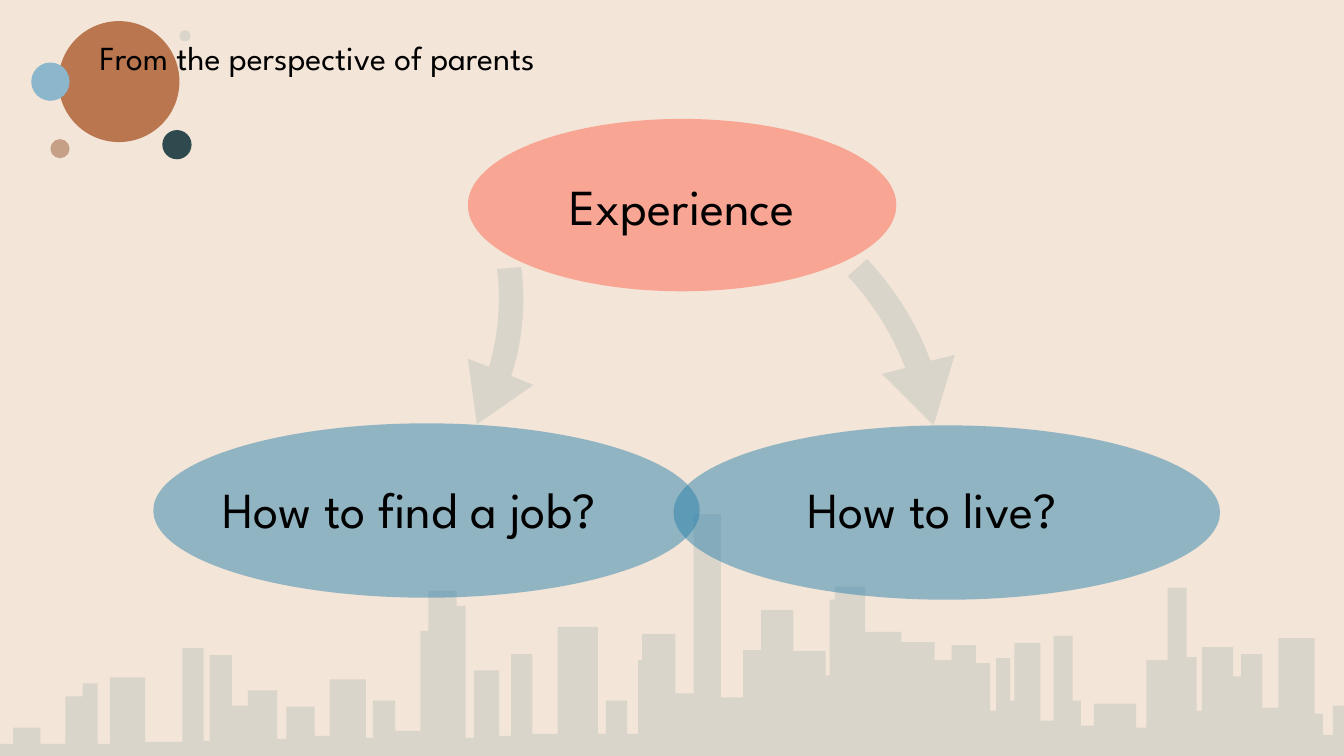
from dataclasses import dataclass

from pptx import Presentation
from pptx import util as u
from pptx.dml.color import RGBColor
from pptx.enum import shapes, text
from pptx.oxml import parse_xml
from pptx.oxml.ns import nsdecls

Point = tuple[float, float]
Curve = tuple[Point, Point, Point]

# The slide is a grid of COLS by ROWS square cells.
COLS, ROWS = 1333, 750
CELL = u.Inches(0.01)
FONT = "League Spartan"
COLORS = {
    "sand": "F3E5D8", "stone": "D9D5CA", "clay": "BA764F", "sky": "8BB6CB",
    "tan": "C5A086", "pine": "2E4A4E", "sea": "267FAB", "coral": "FE604A",
    "ink": "000000",
}


@dataclass(frozen=True)
class Oval:
    col: float
    row: float
    width: float
    height: float
    color: str
    opacity: int = 100


@dataclass(frozen=True)
class Label:
    words: str
    col: float
    row: float
    width: float
    height: float
    size: int
    wrap: bool = True


@dataclass(frozen=True)
class Arrow:
    head: tuple[Point, Point, Point]
    front: Curve
    back: Curve


DOTS = (
    Oval(58, 21, 120, 120, "clay"),
    Oval(31, 62, 38, 38, "sky"),
    Oval(50, 138, 19, 19, "tan"),
    Oval(161, 129, 29, 29, "pine"),
    Oval(178, 30, 11, 11, "stone"),
)
TITLE = Label("From the perspective of parents", 89, 32, 542, 50, 24, wrap=False)
QUESTIONS = (
    (Oval(152, 420, 542, 173, "sea", 48),
     Label("How to find a job?", 211, 469, 506, 71, 36)),
    (Oval(668, 422, 542, 173, "sea", 48),
     Label("How to live?", 791, 469, 506, 71, 36)),
)
EXPERIENCE = Oval(464, 118, 425, 171, "coral", 48)
# Each bend is a start, a point the edge passes halfway, and an end.
ARROWS = (
    Arrow(((875, 371), (926, 422), (947, 352)),
          ((923, 358), (897, 305), (860, 257)),
          ((841, 274), (874, 317), (898, 365))),
    Arrow(((464, 356), (473, 421), (529, 382)),
          ((507, 373), (518, 320), (517, 265)),
          ((493, 267), (494, 316), (485, 364))),
)
# Each roof: the column where it starts and the row of its top.
ROOFS = (
    (0, 738), (13, 722), (40, 738), (65, 691), (82, 678), (97, 738), (109, 672),
    (144, 736), (181, 643), (202, 735), (208, 650), (230, 700), (246, 685),
    (275, 733), (284, 701), (312, 730), (327, 674), (363, 732), (370, 695),
    (392, 725), (417, 626), (425, 586), (453, 601), (462, 732), (470, 665),
    (495, 730), (507, 649), (528, 728), (553, 622), (593, 728), (601, 695),
    (622, 728), (633, 655), (637, 629), (670, 688), (688, 510), (715, 692),
    (737, 645), (755, 605), (787, 646), (819, 670), (823, 595), (828, 582),
    (858, 627), (894, 637), (927, 655), (944, 640), (968, 658), (982, 705),
    (988, 653), (1002, 695), (1006, 638), (1032, 715), (1045, 631), (1064, 695),
    (1072, 720), (1085, 698), (1127, 722), (1137, 655), (1158, 583), (1177, 652),
    (1187, 705), (1192, 642), (1223, 671), (1231, 649), (1252, 702), (1268, 633),
    (1304, 708), (1312, 729), (1322, 700),
)


def cells(*counts: float) -> list[u.Emu]:
    return [u.Emu(round(count * CELL)) for count in counts]


def paint(shape, color: str, opacity: int = 100) -> None:
    shape.shadow.inherit = False
    shape.line.fill.background()
    shape.fill.solid()
    shape.fill.fore_color.rgb = RGBColor.from_string(COLORS[color])
    if opacity < 100:
        tint = shape.fill._xPr.find(".//{*}srgbClr")
        tint.append(parse_xml(f'<a:alpha {nsdecls("a")} val="{opacity * 1000}"/>'))


def write(frame, words: str, *, size: int, wrap: bool = True, align=None,
          color: str = "ink") -> None:
    frame.word_wrap = wrap
    paragraph = frame.paragraphs[0]
    if align is not None:
        paragraph.alignment = align
    run = paragraph.add_run()
    run.text = words
    run.font.name = FONT
    run.font.size = u.Pt(size)
    run.font.color.rgb = RGBColor.from_string(COLORS[color])


def draw_oval(canvas, oval: Oval):
    shape = canvas.add_shape(shapes.MSO_SHAPE.OVAL,
                             *cells(oval.col, oval.row, oval.width, oval.height))
    paint(shape, oval.color, oval.opacity)
    return shape


def draw_label(canvas, label: Label) -> None:
    box = canvas.add_textbox(*cells(label.col, label.row, label.width, label.height))
    write(box.text_frame, label.words, size=label.size, wrap=label.wrap)
    box.text_frame.auto_size = text.MSO_AUTO_SIZE.SHAPE_TO_FIT_TEXT


def draw_outline(canvas, points: list[Point], color: str) -> None:
    start, *rest = [cells(*point) for point in points]
    builder = canvas.build_freeform(*start)
    builder.add_line_segments(rest, close=True)
    paint(builder.convert_to_shape(), color)


def trace(curve: Curve, steps: int = 16) -> list[Point]:
    """Return points along the parabola through the three points of a curve."""
    points = []
    for step in range(steps + 1):
        t = step / steps
        weights = ((1 - t) * (1 - 2 * t), 4 * t * (1 - t), t * (2 * t - 1))
        points.append((sum(w * x for w, (x, _) in zip(weights, curve)),
                       sum(w * y for w, (_, y) in zip(weights, curve))))
    return points


def draw_skyline(canvas) -> None:
    points = [(0, ROWS)]
    for (left, top), (right, _) in zip(ROOFS, ROOFS[1:] + ((COLS, ROWS),)):
        points += [(left, top), (right, top)]
    draw_outline(canvas, points + [(COLS, ROWS)], "stone")


def main() -> None:
    deck = Presentation()
    deck.slide_width, deck.slide_height = cells(COLS, ROWS)
    slide = deck.slides.add_slide(deck.slide_layouts[6])
    slide.background.fill.solid()
    slide.background.fill.fore_color.rgb = RGBColor.from_string(COLORS["sand"])
    canvas = slide.shapes

    draw_skyline(canvas)
    cluster = canvas.add_group_shape()
    for dot in DOTS:
        draw_oval(cluster.shapes, dot)
    draw_label(canvas, TITLE)
    for oval, label in QUESTIONS:
        draw_oval(canvas, oval)
        draw_label(canvas, label)
    experience = draw_oval(canvas, EXPERIENCE)
    write(experience.text_frame, "Experience", size=36, align=text.PP_ALIGN.CENTER)
    for arrow in ARROWS:
        outline = [*arrow.head, *trace(arrow.front), *trace(arrow.back)]
        draw_outline(canvas, outline, "stone")
    deck.save("out.pptx")


if __name__ == "__main__":
    main()
